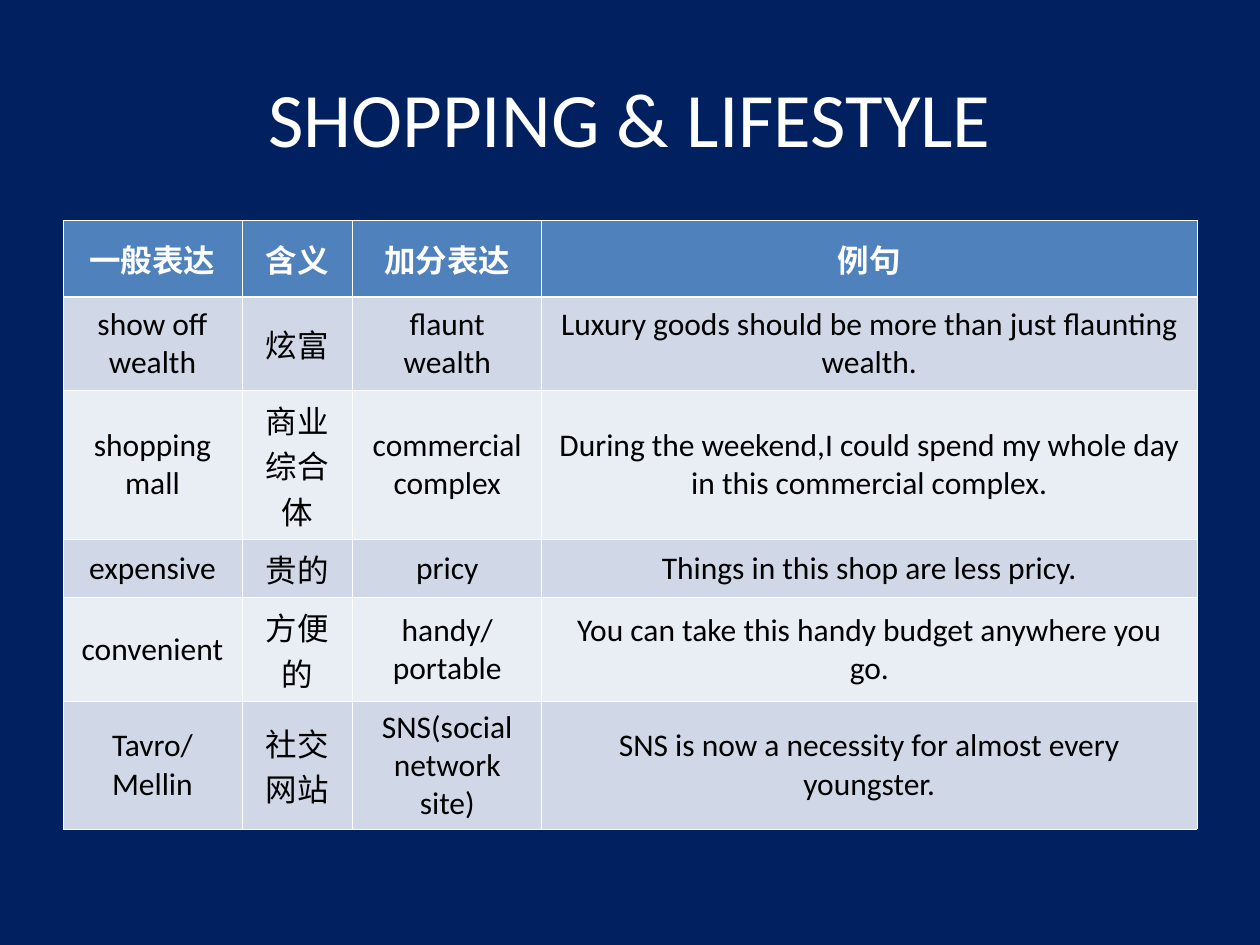
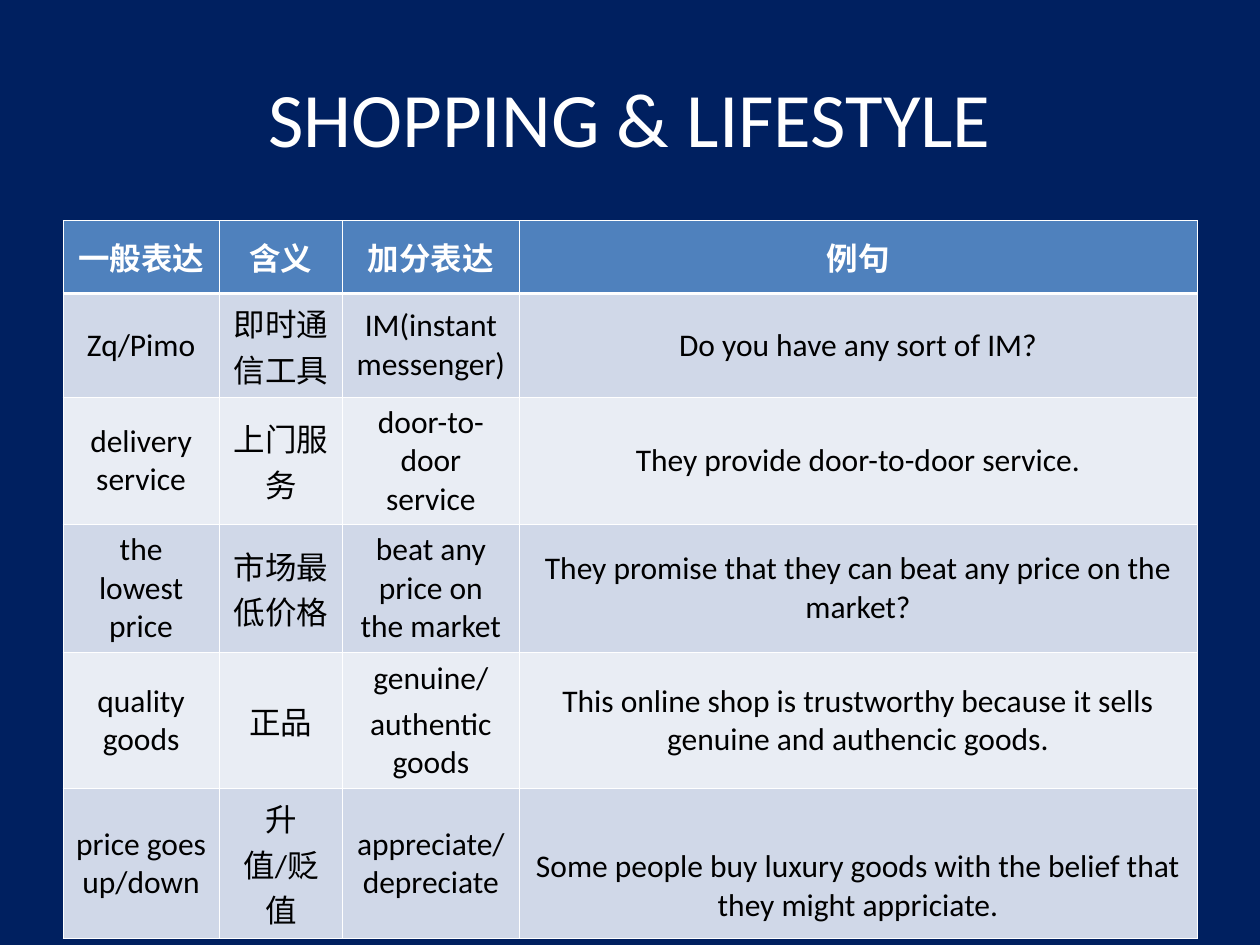
from lxml.etree import SubElement
from pptx import Presentation
from pptx.dml.color import RGBColor
from pptx.enum.lang import MSO_LANGUAGE_ID
from pptx.enum.text import MSO_ANCHOR, PP_ALIGN
from pptx.oxml.ns import qn
from pptx.util import Inches, Pt

NAVY = RGBColor(0x00, 0x20, 0x60)
WHITE = RGBColor(0xFF, 0xFF, 0xFF)
BLACK = RGBColor(0x00, 0x00, 0x00)
HEADER_BLUE = RGBColor(0x4F, 0x81, 0xBD)
BAND_DARK = RGBColor(0xD0, 0xD8, 0xE8)
BAND_LIGHT = RGBColor(0xE9, 0xED, 0xF4)
FONT = "Calibri"
THIN, THICK = 0.45, 1.47
LEFT, WIDTH = 0.5, 9

TITLE = "SHOPPING & LIFESTYLE"
HEADINGS = ("一般表达", "含义", "加分表达", "例句")

LIFESTYLE = [
    ("show off wealth", "炫富", "flaunt wealth",
     "Luxury goods should be more than just flaunting wealth."),
    ("shopping mall", "商业综合体", "commercial complex",
     "During the weekend,I could spend my whole day in this commercial complex."),
    ("expensive", "贵的", "pricy", "Things in this shop are less pricy."),
    ("convenient", "方便的", "handy/portable",
     "You can take this handy budget anywhere you go."),
    ("Tavro/Mellin", "社交网站", "SNS(social network site)",
     "SNS is now a necessity for almost every youngster."),
]

SERVICES = [
    ("Zq/Pimo", "即时通信工具", "IM(instant messenger)", "Do you have any sort of IM?"),
    ("delivery service", "上门服务", "door-to-door service",
     "They provide door-to-door service."),
    ("the lowest price", "市场最低价格", "beat any price on the market",
     "They promise that they can beat any price on the market?"),
    ("quality goods", "正品", "genuine/\nauthentic goods",
     "This online shop is trustworthy because it sells genuine and authencic goods."),
    ("price goes up/down", "升值/贬值", "appreciate/depreciate",
     "Some people buy luxury goods with the belief that they might appriciate."),
]


def write(frame, text, size, color, bold=False, chinese=False):
    for index, line in enumerate(text.split("\n")):
        para = frame.add_paragraph() if index else frame.paragraphs[0]
        para.alignment = PP_ALIGN.CENTER
        if index:
            para.space_before = Pt(4.5)
        span = para.add_run()
        span.text = line
        span.font.name = FONT
        span.font.size = Pt(size)
        span.font.bold = bold
        span.font.color.rgb = color
        if chinese:
            span.font.language_id = MSO_LANGUAGE_ID.SIMPLIFIED_CHINESE


def add_page(deck):
    page = deck.slides.add_slide(deck.slide_layouts[6])
    page.background.fill.solid()
    page.background.fill.fore_color.rgb = NAVY
    box = page.shapes.add_textbox(Inches(LEFT), Inches(0.3), Inches(WIDTH), Inches(1.25))
    box.text_frame.word_wrap = True
    box.text_frame.vertical_anchor = MSO_ANCHOR.MIDDLE
    write(box.text_frame, TITLE, 44, WHITE)
    return page


def set_borders(cell, top, bottom):
    properties = cell._tc.get_or_add_tcPr()
    sides = (("a:lnL", THIN), ("a:lnR", THIN), ("a:lnT", top), ("a:lnB", bottom))
    for index, (tag, points) in enumerate(sides):
        line = SubElement(properties, qn(tag), w=str(Pt(points)))
        fill = SubElement(line, qn("a:solidFill"))
        SubElement(fill, qn("a:srgbClr"), val=str(WHITE))
        properties.insert(index, line)


def fill_cell(cell, text, row, column):
    header = row == 0
    cell.vertical_anchor = MSO_ANCHOR.MIDDLE
    cell.fill.solid()
    cell.fill.fore_color.rgb = HEADER_BLUE if header else BAND_DARK if row % 2 else BAND_LIGHT
    set_borders(cell, THICK if row == 1 else THIN, THICK if header else THIN)
    write(cell.text_frame, text, 18, WHITE if header else BLACK,
          bold=header, chinese=header or column == 1)


def add_phrase_table(page, phrases, widths, heights):
    rows = [HEADINGS, *phrases]
    frame = page.shapes.add_table(len(rows), len(HEADINGS), Inches(LEFT), Inches(1.75),
                                  Inches(WIDTH), Inches(sum(heights)))
    table = frame.table
    for column, width in zip(table.columns, widths):
        column.width = Inches(width)
    for row, (texts, height) in enumerate(zip(rows, heights)):
        table.rows[row].height = Inches(height)
        for column, text in enumerate(texts):
            fill_cell(table.cell(row, column), text, row, column)
    return table


def main():
    deck = Presentation()
    deck.slide_width, deck.slide_height = Inches(10), Inches(7.5)
    add_phrase_table(add_page(deck), LIFESTYLE, (1.42, 0.88, 1.5, 5.2),
                     (0.61, 0.74, 1.18, 0.46, 0.83, 1.01))
    services = add_phrase_table(add_page(deck), SERVICES, (1.24, 0.98, 1.4, 5.38),
                                (0.58, 0.82, 1.01, 1.02, 1.08, 1.19))
    services.cell(5, 3).margin_top = Inches(0.41)
    deck.save("out.pptx")


if __name__ == "__main__":
    main()
